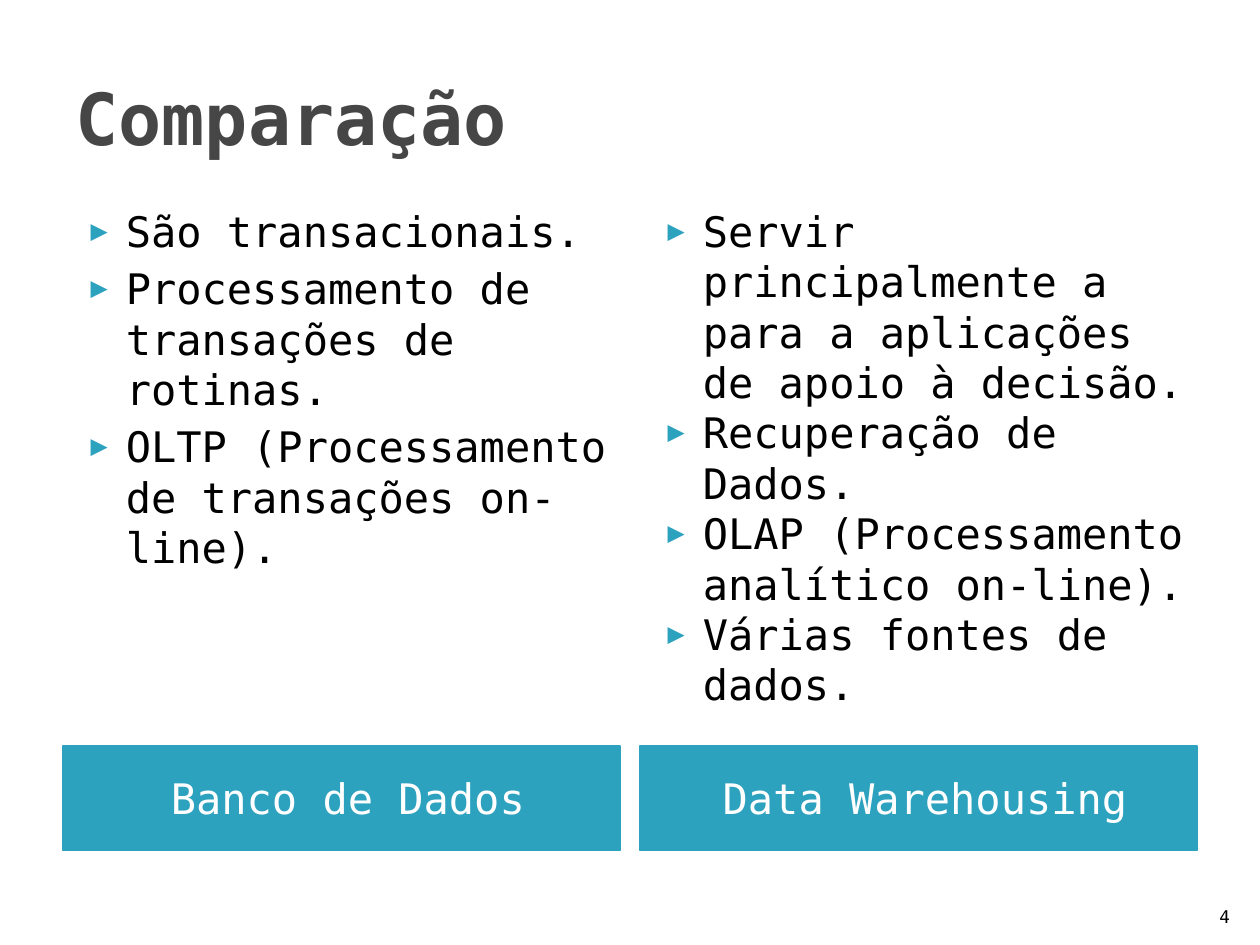
from lxml.etree import SubElement
from pptx import Presentation
from pptx.dml.color import RGBColor
from pptx.enum.shapes import MSO_SHAPE
from pptx.enum.text import MSO_ANCHOR, PP_ALIGN
from pptx.oxml.ns import qn
from pptx.util import Inches, Pt

COLORS = {"teal": "2DA2BF", "title": "464646", "text": "000000", "white": "FFFFFF"}
FONT = "DejaVu Sans Mono"
WIDTH, HEIGHT = 10, 7.5
MARGIN, GAP = 0.5, 0.16
COL_W = (WIDTH - 2 * MARGIN - GAP) / 2
BODY_H, BAR_TOP, BAR_H = 4.31, 4.34, 0.83

COLUMNS = [
    ("Banco de Dados", 4, [
        "São transacionais.",
        "Processamento de transações de rotinas.",
        "OLTP (Processamento de transações on-line).",
    ]),
    ("Data Warehousing", 0, [
        "Servir principalmente a para a aplicações de apoio à decisão.",
        "Recuperação de Dados.",
        "OLAP (Processamento analítico on-line).",
        "Várias fontes de dados.",
    ]),
]


def rgb(name):
    """Return the named colour."""
    return RGBColor.from_string(COLORS[name])


def set_all(obj, values):
    """Set each attribute in a dict of format values."""
    for name, value in values.items():
        setattr(obj, name, value)


def write(sp, lines, size, color, frame=None, para=None, bold=False):
    """Write one paragraph per line into a shape."""
    tf = sp.text_frame
    set_all(tf, {"word_wrap": True, **(frame or {})})
    for i, line in enumerate(lines):
        p = tf.add_paragraph() if i else tf.paragraphs[0]
        set_all(p, para or {})
        r = p.add_run()
        r.text = line
        set_all(r.font, {"name": FONT, "size": Pt(size), "bold": bold})
        r.font.color.rgb = rgb(color)
    return tf


def add_text(s, box, *args, **kwargs):
    """Add a text box with formatted lines."""
    sp = s.shapes.add_textbox(*map(Inches, box))
    return write(sp, *args, **kwargs)


def add_bullet(p):
    """Give a paragraph a hanging teal triangle."""
    pPr = p._p.get_or_add_pPr()
    pPr.set("marL", str(Inches(0.4)))
    pPr.set("indent", str(Inches(-0.28)))
    clr = SubElement(pPr, qn("a:buClr"))
    SubElement(clr, qn("a:srgbClr"), val=COLORS["teal"])
    SubElement(pPr, qn("a:buSzPct"), val="68000")
    SubElement(pPr, qn("a:buFont"), typeface=FONT)
    SubElement(pPr, qn("a:buChar"), char="▶")


def add_bar(s, box, label):
    """Add a filled bar with a centred label."""
    sp = s.shapes.add_shape(MSO_SHAPE.RECTANGLE, *map(Inches, box))
    sp.shadow.inherit = False
    sp.fill.solid()
    sp.fill.fore_color.rgb = sp.line.color.rgb = rgb("teal")
    sp.line.width = Pt(0.76)
    write(sp, [label], 24, "white",
          {"vertical_anchor": MSO_ANCHOR.MIDDLE, "margin_left": Inches(0.2)},
          {"alignment": PP_ALIGN.CENTER, "space_before": Pt(4)})


def add_column(s, left, top, label, space, items):
    """Add a bulleted list with its label bar below."""
    tf = add_text(s, (left, top, COL_W, BODY_H), items, 24, "text",
                  para={"space_before": Pt(space)})
    for p in tf.paragraphs:
        add_bullet(p)
    add_bar(s, (left, top + BAR_TOP, COL_W, BAR_H), label)


def comparison_slide(prs, title, columns, number):
    """Add a slide that compares side-by-side columns."""
    s = prs.slides.add_slide(prs.slide_layouts[6])
    add_text(s, (MARGIN, 0.3, WIDTH - 2 * MARGIN, 1.25), [title], 41, "title",
             {"vertical_anchor": MSO_ANCHOR.MIDDLE}, bold=True)
    for i, column in enumerate(columns):
        add_column(s, MARGIN + i * (COL_W + GAP), 1.58, *column)
    add_text(s, (9.46, 7.01, 0.4, 0.4), [str(number)], 10, "text",
             {"vertical_anchor": MSO_ANCHOR.BOTTOM}, {"alignment": PP_ALIGN.RIGHT})


prs = Presentation()
set_all(prs, {"slide_width": Inches(WIDTH), "slide_height": Inches(HEIGHT)})
comparison_slide(prs, "Comparação", COLUMNS, 4)
prs.save("out.pptx")
